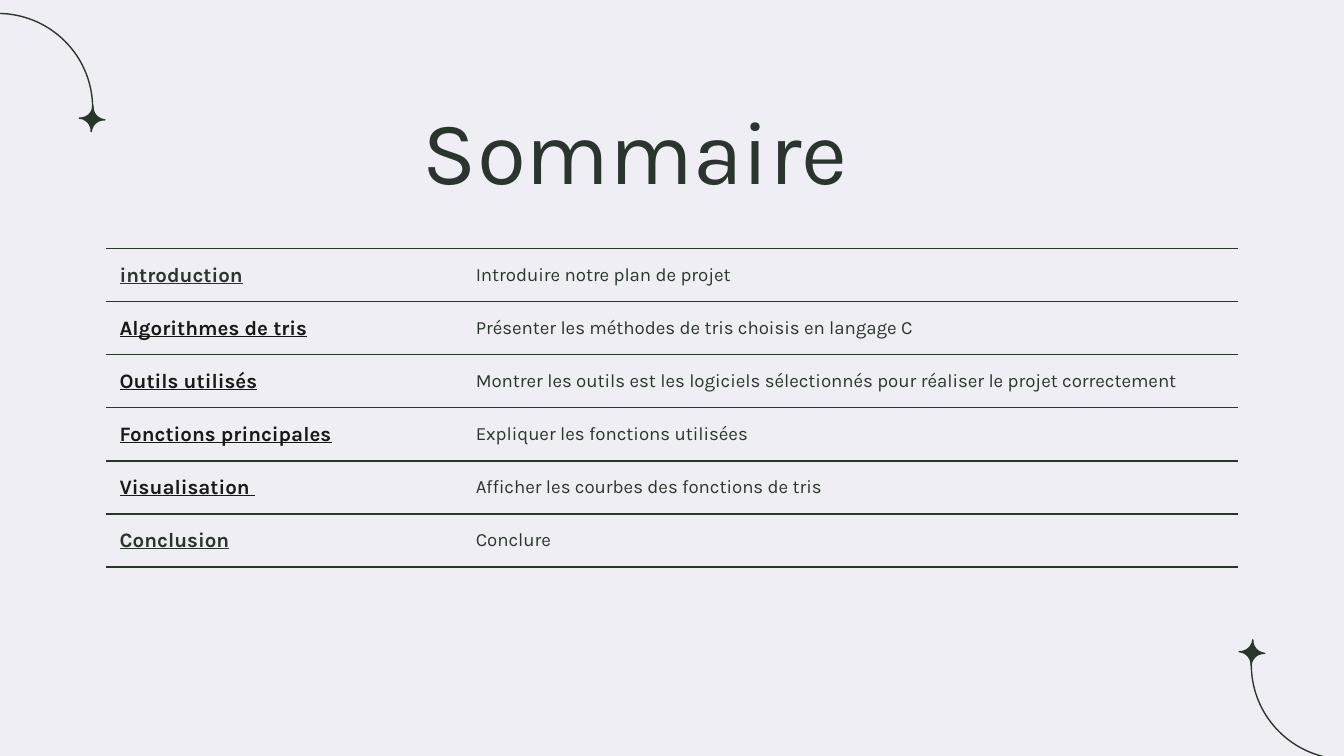
from dataclasses import dataclass

import lxml.etree
import pptx
import pptx.dml.color
import pptx.enum.shapes
import pptx.enum.text
import pptx.oxml.ns
import pptx.util

Inches = pptx.util.Inches
Pt = pptx.util.Pt
RGB = pptx.dml.color.RGBColor
MSO = pptx.enum.shapes.MSO_SHAPE
ANCHOR = pptx.enum.text.MSO_ANCHOR
ALIGN = pptx.enum.text.PP_ALIGN


@dataclass(frozen=True)
class Theme:
    paper: RGB = RGB.from_string("EFEEF4")
    green: RGB = RGB.from_string("2A362D")
    ink: RGB = RGB.from_string("191919")
    font: str = "Karla"
    title: float = 48
    title_end: float = 40
    topic: float = 11
    detail: float = 10
    line: float = 0.75


@dataclass(frozen=True)
class Ornament:
    kind: MSO
    left: float
    top: float
    size: float
    rotation: float
    adjustments: tuple[float, ...]
    filled: bool


@dataclass(frozen=True)
class Entry:
    topic: str
    detail: str
    color: RGB
    tail: str = ""


THEME = Theme()
ARC = (162, 0.4)
STAR = (0.5,)
ORNAMENTS = (
    Ornament(MSO.ARC, -0.72, 0.1, 1.41, 0, ARC, False),
    Ornament(MSO.PLAQUE, 0.59, 0.79, 0.19, 3.9, STAR, True),
    Ornament(MSO.ARC, 9.31, 4.24, 1.41, 180, ARC, False),
    Ornament(MSO.PLAQUE, 9.22, 4.76, 0.19, 183.9, STAR, True),
)
ENTRIES = (
    Entry("introduction", "Introduire notre plan de projet", THEME.green),
    Entry("Algorithmes de tris", "Présenter les méthodes de tris choisis en langage C", THEME.ink),
    Entry("Outils utilisés", "Montrer les outils est les logiciels sélectionnés "
          "pour réaliser le projet correctement", THEME.ink),
    Entry("Fonctions principales", "Expliquer les fonctions utilisées", THEME.ink),
    Entry("Visualisation ", "Afficher les courbes des fonctions de tris", THEME.ink),
    Entry("Conclusion", "Conclure", THEME.green, " "),
)


def set_all(target: object, values: dict) -> None:
    """Set each named attribute of the target."""
    for name, value in values.items():
        setattr(target, name, value)


def add_run(p, text: str, size: float, color: RGB, strong: bool = False) -> None:
    """Append a run, bold and underlined when strong."""
    r = p.add_run()
    r.text = text
    set_all(r.font, {"name": THEME.font, "size": Pt(size), "bold": strong, "underline": strong})
    r.font.color.rgb = color


def add_ornament(s, item: Ornament) -> None:
    """Draw one corner arc or star."""
    sp = s.shapes.add_shape(item.kind, Inches(item.left), Inches(item.top),
                            Inches(item.size), Inches(item.size))
    sp.rotation = item.rotation
    sp.shadow.inherit = False
    for i, value in enumerate(item.adjustments):
        sp.adjustments[i] = value
    if item.filled:
        sp.fill.solid()
        sp.fill.fore_color.rgb = THEME.green
    else:
        sp.fill.background()
    sp.line.color.rgb = THEME.green
    sp.line.width = Pt(THEME.line)


def add_title(s) -> None:
    """Write the centred slide title."""
    tf = s.shapes.add_textbox(Inches(0.58), Inches(0.61), Inches(8.43), Inches(0.93)).text_frame
    margins = dict.fromkeys(("margin_left", "margin_top", "margin_right", "margin_bottom"), Inches(0.1))
    set_all(tf, margins | {"word_wrap": True, "vertical_anchor": ANCHOR.TOP})
    p = tf.paragraphs[0]
    p.alignment = ALIGN.CENTER
    add_run(p, "Sommaire", THEME.title, THEME.green)
    add_run(p, " ", THEME.title_end, THEME.green)


def style_cell(cell) -> None:
    """Clear the cell fill and rule only its top and bottom."""
    set_all(cell, {"margin_left": Inches(0.1), "margin_right": Inches(0.1),
                   "margin_top": 0, "margin_bottom": 0, "vertical_anchor": ANCHOR.MIDDLE})
    cell.fill.background()
    tc_pr = cell._tc.get_or_add_tcPr()
    qn = pptx.oxml.ns.qn
    for i, side in enumerate(("lnL", "lnR", "lnT", "lnB")):
        ln = lxml.etree.Element(qn(f"a:{side}"), w=str(Pt(THEME.line)))
        if side in ("lnT", "lnB"):
            fill = lxml.etree.SubElement(ln, qn("a:solidFill"))
            lxml.etree.SubElement(fill, qn("a:srgbClr"), val=str(THEME.green))
        else:
            lxml.etree.SubElement(ln, qn("a:noFill"))
        tc_pr.insert(i, ln)


def add_contents(s, entries: tuple[Entry, ...]) -> None:
    """Build the table of topics and their details."""
    table = s.shapes.add_table(len(entries), 2, Inches(0.79), Inches(1.85),
                               Inches(8.42), Inches(2.37)).table
    set_all(table, {"first_row": False, "horz_banding": False})
    for column, width in zip(table.columns, (2.65, 5.77)):
        column.width = Inches(width)
    for row, entry in zip(table.rows, entries):
        topic, detail = row.cells
        style_cell(topic)
        style_cell(detail)
        p = topic.text_frame.paragraphs[0]
        add_run(p, entry.topic, THEME.topic, entry.color, True)
        if entry.tail:
            add_run(p, entry.tail, THEME.topic, entry.color)
        add_run(detail.text_frame.paragraphs[0], entry.detail, THEME.detail, THEME.green)


def main() -> None:
    """Build and save the slide."""
    prs = pptx.Presentation()
    width = Inches(10)
    set_all(prs, {"slide_width": width, "slide_height": width * 9 // 16})
    s = prs.slides.add_slide(prs.slide_layouts[6])
    s.background.fill.solid()
    s.background.fill.fore_color.rgb = THEME.paper
    for item in ORNAMENTS:
        add_ornament(s, item)
    add_title(s)
    add_contents(s, ENTRIES)
    prs.save("out.pptx")


if __name__ == "__main__":
    main()
